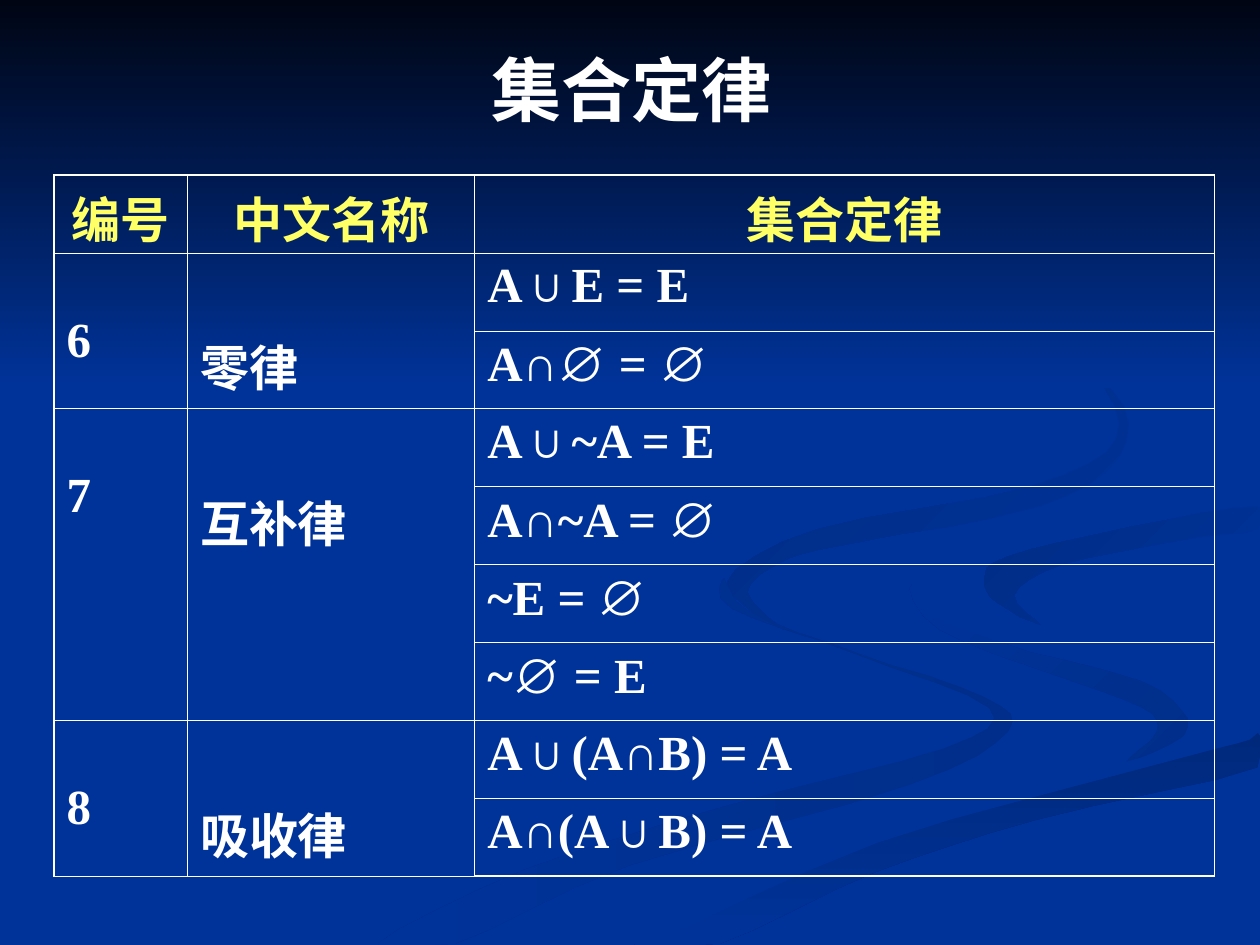
from dataclasses import dataclass
from itertools import groupby

from lxml import etree
from pptx import Presentation
from pptx import util as u
from pptx.dml import color
from pptx.enum import shapes, text
from pptx.oxml import ns


@dataclass(frozen=True)
class Theme:
    back: str = "003399"
    night: str = "000514"
    white: str = "FFFFFF"
    gold: str = "FFFF66"
    face: str = "Times New Roman"
    sign: str = "Arial"
    title: int = 40
    body: int = 28
    thin: float = 0.45
    thick: float = 1.08


THEME = Theme()
UNIT = u.Cm(0.0254)
STEPS = 4
HEADS = ["编号", "中文名称", "集合定律"]
LAWS = [
    ("6", "零律", ["A∪E = E", "A∩∅ = ∅"]),
    ("7", "互补律", ["A∪~A = E", "A∩~A = ∅", "~E = ∅", "~∅ = E"]),
    ("8", "吸收律", ["A∪(A∩B) = A", "A∩(A∪B) = A"]),
]
WAVES = [
    (("002E8A", THEME.back), 180, [
        (781, 553), (682, 519), (594, 485), (575, 459), (581, 483),
        (679, 519), (785, 562), (749, 594), (579, 639), (417, 690),
        (300, 749), (361, 749), (499, 687), (721, 623), (800, 581)]),
    (("002E8A", THEME.back), 225, [
        (943, 570), (905, 540), (792, 509), (724, 464), (746, 500),
        (838, 536), (907, 562), (918, 581), (894, 605), (937, 586)]),
    (("00297C", THEME.back), 90, [
        (503, 749), (571, 749), (695, 692), (821, 651), (998, 609),
        (998, 581), (903, 610), (764, 647), (630, 693)]),
    ((THEME.back,), 0, [
        (725, 464), (759, 498), (905, 540), (943, 570), (911, 600),
        (743, 643), (477, 749), (519, 747), (696, 669), (936, 602),
        (999, 581), (999, 538), (866, 509), (781, 463), (822, 434),
        (999, 402), (999, 387), (851, 411), (742, 439)]),
    ((THEME.back, "002C85"), 225, [
        (781, 460), (791, 478), (826, 496), (805, 472), (843, 448),
        (936, 429), (998, 420), (998, 402), (898, 418), (799, 442)]),
    ((THEME.back, "002B81"), 225, [
        (683, 430), (825, 402), (889, 362), (880, 307), (762, 233),
        (862, 292), (886, 348), (818, 386), (649, 420), (577, 462),
        (622, 500), (593, 470), (624, 444)]),
]


def rgb(code):
    return color.RGBColor.from_string(code)


def paint(shape, tones, angle):
    shape.shadow.inherit = False
    shape.line.fill.background()
    if len(tones) == 1:
        shape.fill.solid()
        shape.fill.fore_color.rgb = rgb(tones[0])
        return
    shape.fill.gradient()
    shape.fill.gradient_angle = (360 - angle) % 360
    for stop, tone in zip(shape.fill.gradient_stops, tones):
        stop.color.rgb = rgb(tone)


def blend(a, b, c, d, t):
    bend = 2 * a - 5 * b + 4 * c - d
    return b + t * (c - a + t * (bend + t * (3 * b - a - 3 * c + d))) / 2


def smooth(knots):
    count = len(knots)
    for spot in range(count):
        near = [knots[(spot + step) % count] for step in (-1, 0, 1, 2)]
        for step in range(STEPS):
            x, y = (blend(*axis, step / STEPS) for axis in zip(*near))
            yield min(x, 1000), min(y, 750)


def add_wave(slide, tones, angle, knots):
    points = list(smooth(knots))
    pen = slide.shapes.build_freeform(*points[0], scale=UNIT)
    pen.add_line_segments(points[1:], close=True)
    paint(pen.convert_to_shape(), tones, angle)


def add_band(slide, width):
    band = slide.shapes.add_shape(
        shapes.MSO_SHAPE.RECTANGLE, 0, 0, width, u.Cm(7.82))
    paint(band, (THEME.night, THEME.back), 90)


def write(para, words, size, tone, center=False):
    if center:
        para.alignment = text.PP_ALIGN.CENTER
    for empty, chars in groupby(words, lambda char: char == "∅"):
        run = para.add_run()
        run.text = "".join(chars)
        run.font.name = THEME.sign if empty else THEME.face
        run.font.size = u.Pt(size)
        run.font.bold = True
        run.font.color.rgb = rgb(tone)


def add_title(slide, words):
    box = slide.shapes.add_textbox(
        u.Cm(1.3), u.Cm(0.91), u.Cm(22.86), u.Cm(1.75))
    frame = box.text_frame
    frame.word_wrap = True
    frame.vertical_anchor = text.MSO_ANCHOR.MIDDLE
    write(frame.paragraphs[0], words, THEME.title, THEME.white, True)


def rule(cell, edges):
    props = cell._tc.get_or_add_tcPr()
    for side, outer in edges.items():
        line = etree.SubElement(props, ns.qn(f"a:ln{side}"))
        line.set("w", str(u.Pt(THEME.thick if outer else THEME.thin)))
        fill = etree.SubElement(line, ns.qn("a:solidFill"))
        etree.SubElement(fill, ns.qn("a:srgbClr")).set("val", THEME.white)
    cell.fill.background()


def add_laws(slide):
    count = 1 + sum(len(forms) for _, _, forms in LAWS)
    widths = [u.Cm(2.69), u.Cm(5.79), u.Cm(14.91)]
    high = u.Cm(1.57)
    table = slide.shapes.add_table(
        count, len(widths), u.Cm(1.09), u.Cm(3.53),
        sum(widths), high * count).table
    table.first_row = table.horz_banding = False
    for col, width in zip(table.columns, widths):
        col.width = width
    for row in range(count):
        table.rows[row].height = high
        for col in range(len(widths)):
            rule(table.cell(row, col), {
                "L": col == 0, "R": col == len(widths) - 1,
                "T": row == 0, "B": row == count - 1})

    def put(row, col, words, tone=THEME.white, center=False):
        para = table.cell(row, col).text_frame.paragraphs[0]
        write(para, words, THEME.body, tone, center)
        return para

    for col, head in enumerate(HEADS):
        put(0, col, head, THEME.gold, True)
    top = 1
    for number, name, forms in LAWS:
        for col, words in enumerate((number, name)):
            table.cell(top, col).merge(table.cell(top + len(forms) - 1, col))
            put(top, col, words).line_spacing = 2.0
        for row, form in enumerate(forms, top):
            put(row, 2, form)
        top += len(forms)


def main():
    deck = Presentation()
    deck.slide_width, deck.slide_height = u.Cm(25.4), u.Cm(19.05)
    slide = deck.slides.add_slide(deck.slide_layouts[6])
    slide.background.fill.solid()
    slide.background.fill.fore_color.rgb = rgb(THEME.back)
    for tones, angle, knots in WAVES:
        add_wave(slide, tones, angle, knots)
    add_band(slide, deck.slide_width)
    add_title(slide, "集合定律")
    add_laws(slide)
    deck.save("out.pptx")


if __name__ == "__main__":
    main()
